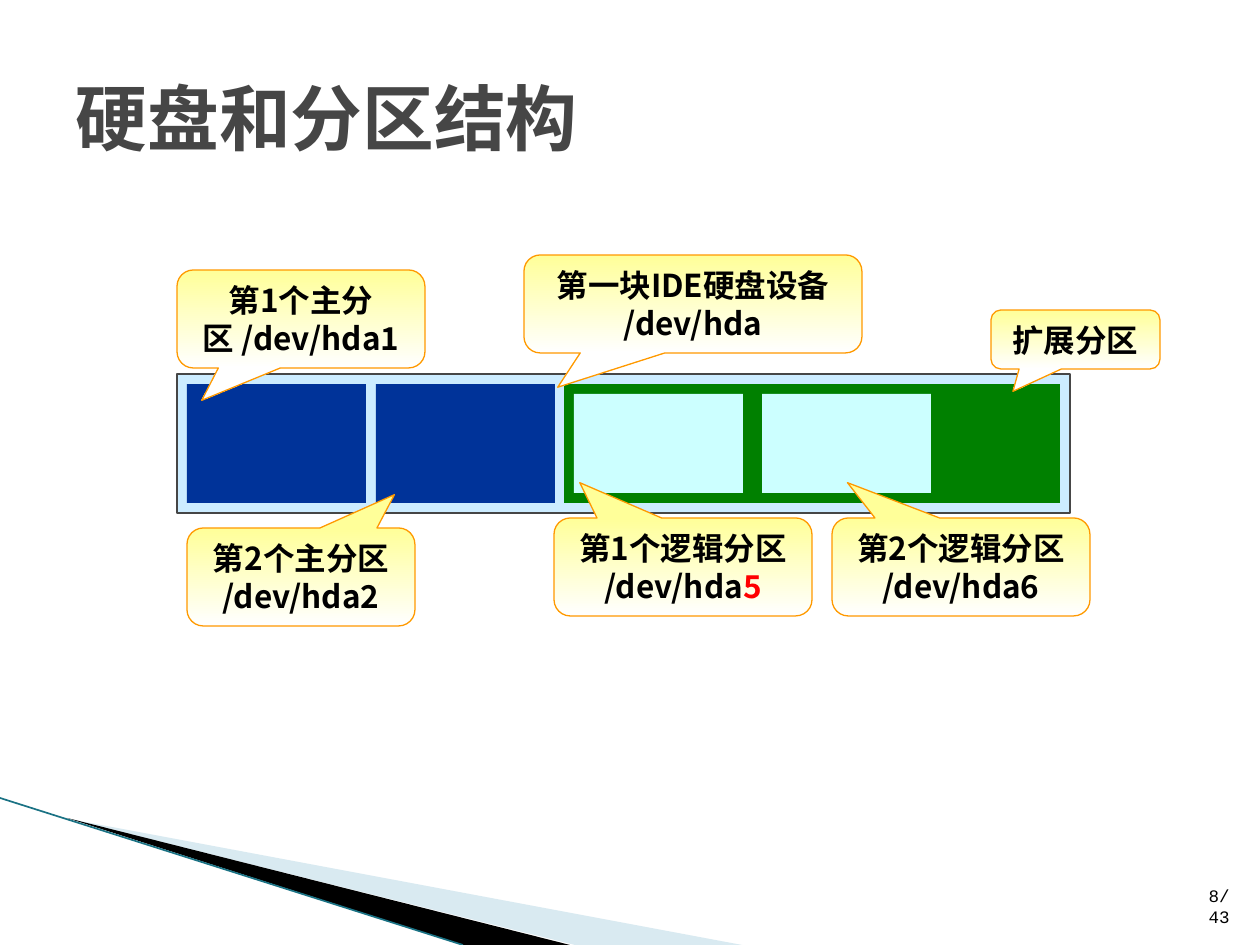
from pptx import Presentation
from pptx.dml.color import RGBColor
from pptx.enum.shapes import MSO_CONNECTOR, MSO_SHAPE
from pptx.enum.text import MSO_ANCHOR, PP_ALIGN
from pptx.oxml.ns import qn
from pptx.util import Pt
from lxml.etree import SubElement

SCALE = 914400 / 126
COLORS = {
    "black": "000000", "gray": "464646", "red": "FF0000", "orange": "FF9900",
    "yellow": "FFFF99", "white": "FFFFFF", "disk": "CCECFF", "primary": "003399",
    "extended": "008000", "logical": "CCFFFF", "pale": "A0CBDC", "teal": "1A7284",
}
CJK, MONO = "Noto Sans CJK SC", "Courier New"

TITLE = "硬盘和分区结构"
PAGE = "8/43"
DISK = (177, 374, 893, 139)
PRIMARY_COUNT, LOGICAL_COUNT = 2, 2
PRIMARY, PRIMARY_STEP = (187, 384, 179, 119), 189
EXTENDED = (564, 384, 496, 119)
LOGICAL, LOGICAL_STEP = (574, 394, 169, 99), 188
CALLOUTS = [
    ((177, 270, 248, 98), (-0.4, 0.83), [[("第1个主分区 /dev/hda1", "black")]]),
    ((187, 528, 228, 98), (0.41, -0.84), [[("第2个主分区", "black")], [("/dev/hda2", "black")]]),
    ((554, 518, 258, 98), (-0.4, -0.86),
     [[("第1个逻辑分区", "black")], [("/dev/hda", "black"), ("5", "red")]]),
    ((832, 518, 258, 98), (-0.44, -0.86), [[("第2个逻辑分区", "black")], [("/dev/hda6", "black")]]),
    ((991, 310, 169, 59), (-0.37, 0.88), [[("扩展分区", "black")]]),
    ((524, 255, 338, 98), (-0.4, 0.85), [[("第一块IDE硬盘设备", "black")], [("/dev/hda", "black")]]),
]
SWOOSHES = [
    ([(69, 819), (742, 945), (575, 945)], "pale", 40),
    ([(67, 818), (570, 945), (463, 945)], "black", 100),
]
EDGE = (0, 798, 463, 945)


def px(*values):
    return [round(value * SCALE) for value in values]


def rgb(name):
    return RGBColor.from_string(COLORS[name])


def write(shape, lines, size=18, font=CJK, bold=False, align=PP_ALIGN.CENTER, anchor=MSO_ANCHOR.MIDDLE):
    frame = shape.text_frame
    frame.word_wrap = True
    frame.vertical_anchor = anchor
    for index, line in enumerate(lines):
        paragraph = frame.add_paragraph() if index else frame.paragraphs[0]
        paragraph.alignment = align
        for text, color in line:
            run = paragraph.add_run()
            run.text = text
            run.font.size, run.font.bold, run.font.name = Pt(size), bold, font
            run.font.color.rgb = rgb(color)
            SubElement(run.font._element, qn("a:ea")).set("typeface", CJK)


def outline(shape, color=None):
    shape.shadow.inherit = False
    if color:
        shape.line.color.rgb = rgb(color)
        shape.line.width = Pt(0.75)
    else:
        shape.line.fill.background()


def add_block(slide, box, fill, line=None):
    block = slide.shapes.add_shape(MSO_SHAPE.RECTANGLE, *px(*box))
    block.fill.solid()
    block.fill.fore_color.rgb = rgb(fill)
    outline(block, line)


def add_row(slide, first, step, count, fill):
    left, top, width, height = first
    for index in range(count):
        add_block(slide, (left + index * step, top, width, height), fill)


def add_callout(slide, box, tip, lines):
    callout = slide.shapes.add_shape(MSO_SHAPE.ROUNDED_RECTANGULAR_CALLOUT, *px(*box))
    callout.adjustments[0], callout.adjustments[1] = tip
    callout.fill.gradient()
    callout.fill.gradient_angle = 270
    for stop, color, position in zip(callout.fill.gradient_stops, ("yellow", "white"), (0, 1)):
        stop.color.rgb = rgb(color)
        stop.position = position
    outline(callout, "orange")
    write(callout, lines, bold=True)


def add_swoosh(slide, points, color, opacity):
    builder = slide.shapes.build_freeform(*points[0], scale=SCALE)
    builder.add_line_segments(points[1:], close=True)
    swoosh = builder.convert_to_shape()
    swoosh.fill.solid()
    swoosh.fill.fore_color.rgb = rgb(color)
    if opacity < 100:
        fill_color = swoosh._element.spPr.find(qn("a:solidFill"))[0]
        SubElement(fill_color, qn("a:alpha")).set("val", str(opacity * 1000))
    outline(swoosh)


def main():
    presentation = Presentation()
    presentation.slide_width, presentation.slide_height = px(1260, 945)
    slide = presentation.slides.add_slide(presentation.slide_layouts[5])

    for swoosh in SWOOSHES:
        add_swoosh(slide, *swoosh)
    edge = slide.shapes.add_connector(MSO_CONNECTOR.STRAIGHT, *px(*EDGE))
    edge.line.color.rgb = rgb("teal")
    edge.line.width = Pt(0.95)
    SubElement(edge._element.spPr, qn("a:effectLst"))

    title = slide.shapes.title
    title.left, title.top, title.width, title.height = px(63, 38, 1134, 157)
    write(title, [[(TITLE, "gray")]], size=41, font=MONO, bold=True, align=PP_ALIGN.LEFT)
    page = slide.shapes.add_textbox(*px(1192, 883, 50, 50))
    write(page, [[(PAGE, "black")]], size=10, font=MONO, align=PP_ALIGN.RIGHT, anchor=MSO_ANCHOR.BOTTOM)

    add_block(slide, DISK, "disk", "gray")
    add_row(slide, PRIMARY, PRIMARY_STEP, PRIMARY_COUNT, "primary")
    add_block(slide, EXTENDED, "extended")
    add_row(slide, LOGICAL, LOGICAL_STEP, LOGICAL_COUNT, "logical")
    for callout in CALLOUTS:
        add_callout(slide, *callout)

    presentation.save("out.pptx")


if __name__ == "__main__":
    main()
